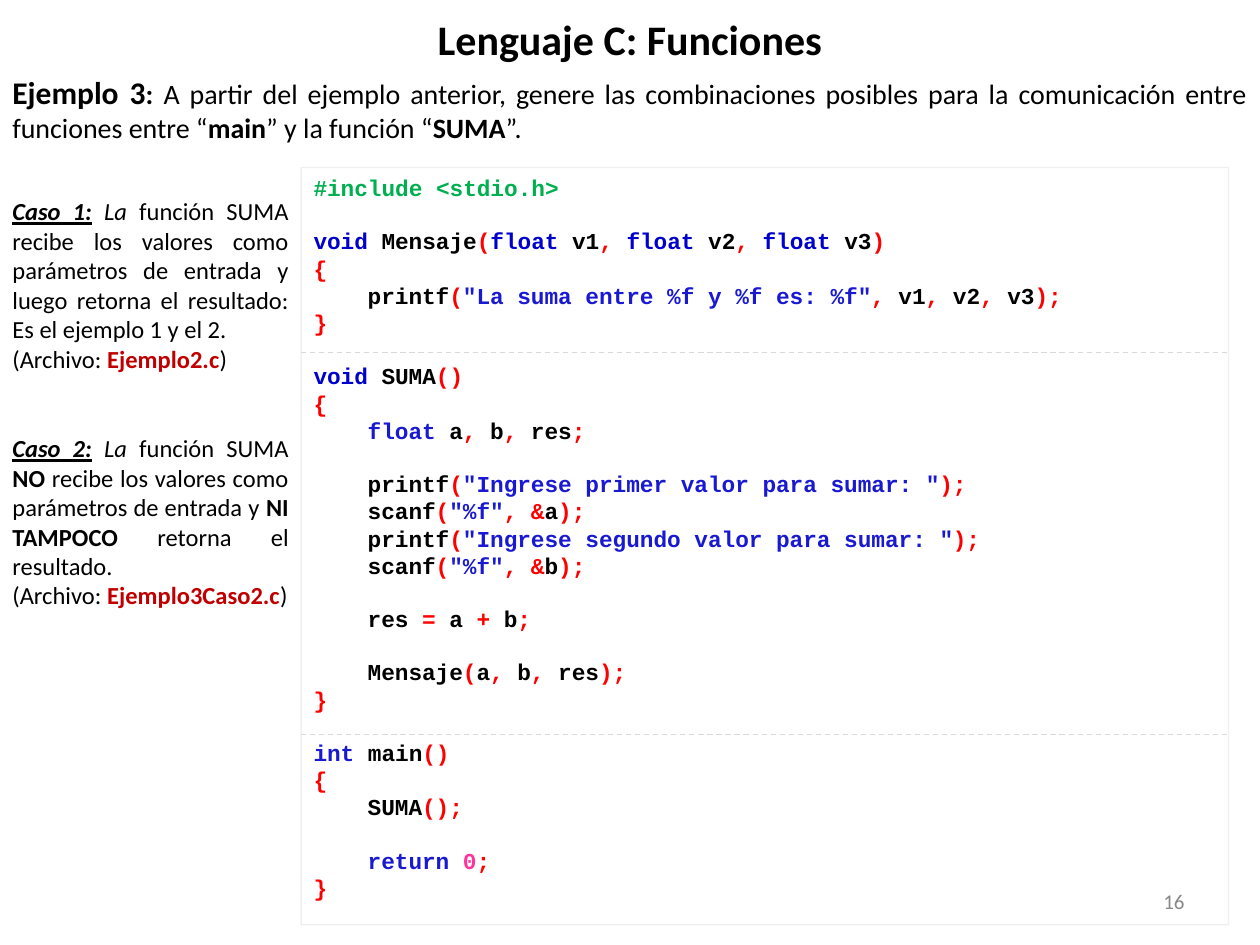
import itertools
from dataclasses import dataclass, field
from typing import Any, Iterator, NamedTuple

import pptx
import pptx.dml.color
import pptx.enum.dml
import pptx.enum.shapes
import pptx.enum.text
import pptx.oxml
import pptx.oxml.ns
import pptx.util
from pptx.util import Inches

COLOURS = {
    "text": "000000", "number": "888888", "file": "C00000", "border": "D9D9D9",
    "include": "00B050", "signature": "0000CC", "literal": "1919D1",
    "symbol": "FF0000", "digit": "FF3399",
}
KEYWORDS = {"void", "float", "int", "return"}
ALIGN = pptx.enum.text.PP_ALIGN
ANCHOR = pptx.enum.text.MSO_ANCHOR
BOLD = {"bold": True}
CASE_LABEL = {"bold": True, "italic": True, "underline": True}
CODE_SIZE = 13
CODE_LINE_HEIGHT = 14.73
CODE_INDENT = 0.43
CODE_LEFT, CODE_RIGHT = 2.39, 9.75

CODE = '''#include <stdio.h>

void Mensaje(float v1, float v2, float v3)
{
    printf("La suma entre %f y %f es: %f", v1, v2, v3);
}

void SUMA()
{
    float a, b, res;

    printf("Ingrese primer valor para sumar: ");
    scanf("%f", &a);
    printf("Ingrese segundo valor para sumar: ");
    scanf("%f", &b);

    res = a + b;

    Mensaje(a, b, res);
}

int main()
{
    SUMA();

    return 0;
}'''


class Run(NamedTuple):
    text: str
    style: dict[str, Any] = {}
    colour: str = "text"
    size: float | None = None


@dataclass
class TextBlock:
    left: float
    top: float
    width: float
    height: float
    size: float
    paragraphs: list[list[Run]]
    align: Any = ALIGN.JUSTIFY
    anchor: Any = ANCHOR.TOP
    colour: str = field(default="text")


def rgb(name: str) -> pptx.dml.color.RGBColor:
    return pptx.dml.color.RGBColor.from_string(COLOURS[name])


def add_run(paragraph: Any, run: Run, size: float, font_name: str) -> None:
    text_run = paragraph.add_run()
    text_run.text = run.text
    style = {"name": font_name, "size": pptx.util.Pt(run.size or size), **run.style}
    for attribute, value in style.items():
        setattr(text_run.font, attribute, value)
    text_run.font.color.rgb = rgb(run.colour)


def add_text_block(shapes: Any, block: TextBlock) -> None:
    box = shapes.add_textbox(Inches(block.left), Inches(block.top),
                             Inches(block.width), Inches(block.height))
    frame = box.text_frame
    frame.word_wrap = True
    frame.vertical_anchor = block.anchor
    for index, runs in enumerate(block.paragraphs):
        paragraph = frame.add_paragraph() if index else frame.paragraphs[0]
        paragraph.alignment = block.align
        for run in runs:
            add_run(paragraph, run, block.size, "Calibri")


def highlight(line: str) -> Iterator[Run]:
    """Split one line of C into coloured runs."""
    if line.startswith("#"):
        yield Run(line, BOLD, "include")
        return
    keyword_colour = "signature" if line.startswith("void") else "literal"
    for index, part in enumerate(line.split('"')):
        if index % 2:
            yield Run(f'"{part}"', BOLD, "literal")
            continue
        for is_word, characters in itertools.groupby(part, str.isalnum):
            token = "".join(characters)
            colour = "symbol"
            if is_word:
                colour = (keyword_colour if token in KEYWORDS
                          else "digit" if token.isdigit() else "text")
            yield Run(token, BOLD, colour)


def fill_code(frame: Any) -> None:
    paragraph = frame.paragraphs[0]
    gap = 0.0
    for index, line in enumerate(CODE.splitlines()):
        if not line:
            gap = CODE_LINE_HEIGHT
            continue
        if index:
            paragraph = frame.add_paragraph()
        paragraph.alignment = ALIGN.LEFT
        paragraph.space_before = pptx.util.Pt(gap)
        gap = 0.0
        code = line.strip()
        if code != line:
            properties = paragraph._p.get_or_add_pPr()
            properties.set("marL", str(Inches(CODE_INDENT)))
            properties.set("indent", "0")
        for run in highlight(code):
            add_run(paragraph, run, CODE_SIZE, "Courier New")


def add_code_panel(shapes: Any) -> None:
    panel = shapes.add_shape(
        pptx.enum.shapes.MSO_SHAPE.RECTANGLE, Inches(CODE_LEFT), Inches(1.33),
        Inches(CODE_RIGHT - CODE_LEFT), Inches(6.01))
    panel.shadow.inherit = False
    panel.fill.background()
    panel.line.color.rgb = rgb("border")
    panel.line.width = pptx.util.Pt(0.75)
    border_colour = panel.line._ln.find(".//" + pptx.oxml.ns.qn("a:srgbClr"))
    alpha = pptx.oxml.parse_xml(
        f'<a:alpha {pptx.oxml.ns.nsdecls("a")} val="40000"/>')
    border_colour.append(alpha)
    panel.text_frame.word_wrap = True
    panel.text_frame.vertical_anchor = ANCHOR.TOP
    fill_code(panel.text_frame)


def add_divider(shapes: Any, top: float) -> None:
    divider = shapes.add_connector(
        pptx.enum.shapes.MSO_CONNECTOR.STRAIGHT, Inches(CODE_LEFT), Inches(top),
        Inches(CODE_RIGHT), Inches(top))
    divider.line.color.rgb = rgb("border")
    divider.line.width = pptx.util.Pt(0.75)
    divider.line.dash_style = pptx.enum.dml.MSO_LINE.DASH
    divider._element.spPr.append(pptx.oxml.parse_xml(
        f'<a:effectLst {pptx.oxml.ns.nsdecls("a")}/>'))


def case_block(number: int, top: float, height: float, description: list[Run],
               file_name: str) -> TextBlock:
    heading = [Run(f"Caso {number}:", CASE_LABEL),
               Run(" ", {"bold": True, "italic": True}),
               Run("La ", {"italic": True})]
    source = [Run("(Archivo: "), Run(file_name, BOLD, "file"), Run(")")]
    return TextBlock(0, top, 2.39, height, 14, [heading + description, source])


def main() -> None:
    presentation = pptx.Presentation()
    presentation.slide_width, presentation.slide_height = Inches(10), Inches(7.5)
    slide = presentation.slides.add_slide(presentation.slide_layouts[6])

    # Slide number and title
    add_text_block(slide.shapes, TextBlock(
        7.17, 6.95, 2.33, 0.4, 12, [[Run("16", colour="number")]],
        ALIGN.RIGHT, ANCHOR.MIDDLE))
    add_text_block(slide.shapes, TextBlock(
        0.5, 0, 9, 0.62, 24, [[Run("Lenguaje C: Funciones", BOLD)]],
        ALIGN.CENTER, ANCHOR.MIDDLE))

    # Code panel with dividers between functions
    code_group = slide.shapes.add_group_shape()
    add_code_panel(code_group.shapes)
    for top in (5.83, 2.8):
        add_divider(code_group.shapes, top)

    # Cases
    add_text_block(slide.shapes, case_block(1, 1.51, 1.51, [
        Run("función SUMA recibe los valores como parámetros de entrada y luego "
            "retorna el resultado: Es el ejemplo 1 y el 2."),
    ], "Ejemplo2.c"))
    add_text_block(slide.shapes, case_block(2, 3.39, 1.75, [
        Run("función SUMA "), Run("NO", BOLD),
        Run(" recibe los valores como parámetros de entrada y "),
        Run("NI TAMPOCO ", BOLD), Run("retorna el resultado."),
    ], "Ejemplo3Caso2.c"))

    # Statement of the example
    add_text_block(slide.shapes, TextBlock(0, 0.53, 10, 0.67, 16, [[
        Run("Ejemplo 3", BOLD, size=18), Run(": ", BOLD),
        Run("A partir del ejemplo anterior, genere las combinaciones posibles "
            "para la comunicación entre funciones entre “"),
        Run("main", BOLD), Run("” y la función “"), Run("SUMA", BOLD), Run("”."),
    ]]))

    presentation.save("out.pptx")


if __name__ == "__main__":
    main()
